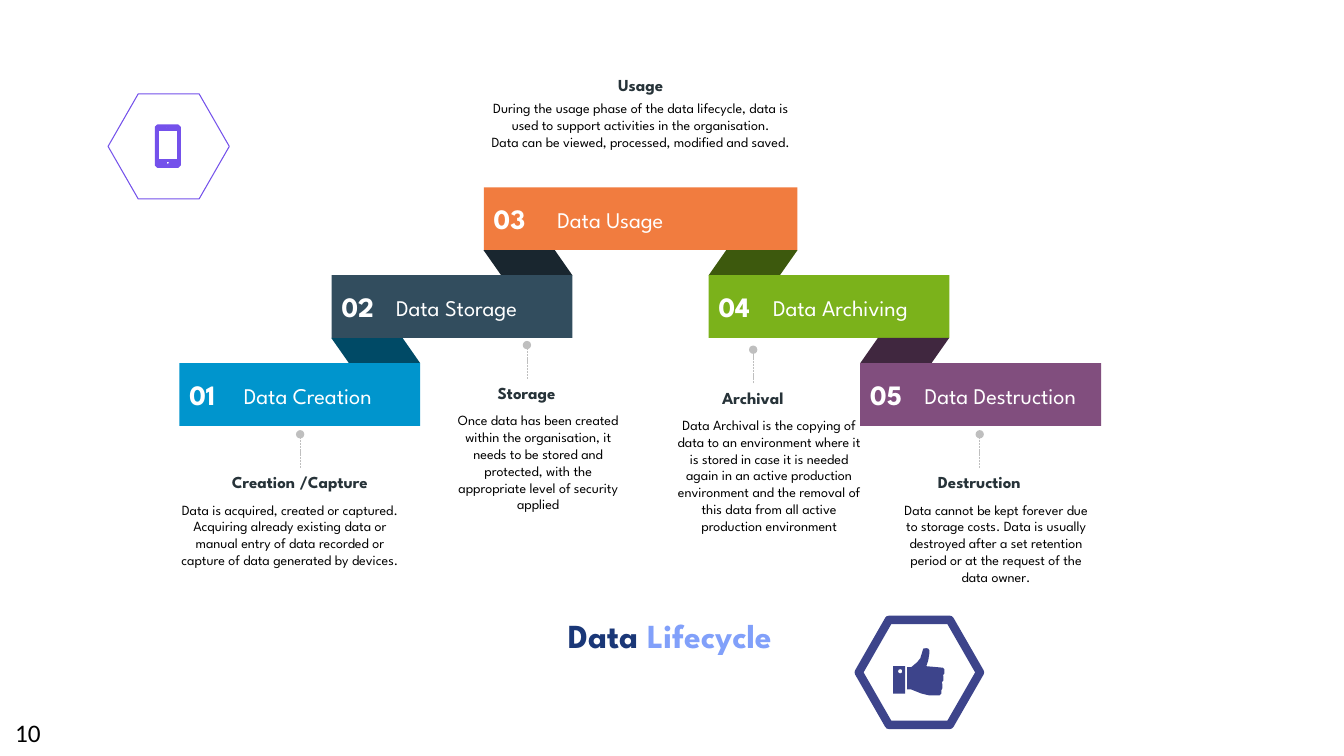
from dataclasses import dataclass
from math import cos, pi, sin

from lxml.etree import SubElement
from pptx import Presentation
from pptx.dml.color import RGBColor
from pptx.enum.dml import MSO_LINE
from pptx.enum.shapes import MSO_CONNECTOR, MSO_SHAPE
from pptx.enum.text import MSO_ANCHOR, MSO_AUTO_SIZE, PP_ALIGN
from pptx.oxml.ns import qn
from pptx.util import Pt

RECTANGLE = MSO_SHAPE.RECTANGLE
HEXAGON = MSO_SHAPE.HEXAGON
PARALLELOGRAM = MSO_SHAPE.PARALLELOGRAM
STRAIGHT = MSO_CONNECTOR.STRAIGHT
SYSTEM_DASH = MSO_LINE.SQUARE_DOT
TOP, MIDDLE, BOTTOM = MSO_ANCHOR.TOP, MSO_ANCHOR.MIDDLE, MSO_ANCHOR.BOTTOM
GROW, FIXED = MSO_AUTO_SIZE.SHAPE_TO_FIT_TEXT, MSO_AUTO_SIZE.NONE
LEFT, CENTER = PP_ALIGN.LEFT, PP_ALIGN.CENTER

BAR_HEIGHT, BAR_WIDTH, WIDE_BAR = 44.8, 172, 224
FOLD_WIDTH, FOLD_HEIGHT = 63.5, 18
STEP = BAR_HEIGHT + FOLD_HEIGHT
PEAK_TOP = 133.8

STAGES = [
    ("Data Creation", 128.2, 2, BAR_WIDTH, "0095CD", "004A66", "left"),
    ("Data Storage", 236.9, 1, BAR_WIDTH, "324D5E", "19262F", "left"),
    ("Data Usage", 345.6, 0, WIDE_BAR, "F17C3F", None, None),
    ("Data Archiving", 506.2, 1, BAR_WIDTH, "7BB21B", "3D590D", "right"),
    ("Data Destruction", 614.5, 2, BAR_WIDTH, "814E7E", "40273F", "right"),
]
NOTES = [
    ("Creation /Capture", 154.4, 334.2, 121, 172,
     "Data is acquired, created or captured. Acquiring already existing data or "
     "manual entry of data recorded or capture of data generated by devices."),
    ("Storage", 316.4, 270.5, 316.4, 136,
     "Once data has been created within the organisation, it needs to be stored "
     "and protected, with the appropriate level of security applied"),
    ("Archival", 478, 273.8, 478, 142.6,
     "Data Archival is the copying of data to an environment where it is stored in "
     "case it is needed again in an active production environment and the removal "
     "of this data from all active production environment"),
    ("Destruction", 639.8, 334.2, 639.8, 143.3,
     "Data cannot be kept forever due to storage costs. Data is usually destroyed "
     "after a set retention period or at the request of the data owner."),
]
USAGE = [
    "During the usage phase of the data lifecycle, data is used to support "
    "activities in the organisation.",
    "Data can be viewed, processed, modified and saved.",
]
HAND = [
    (661.7, 463), (659.5, 463.3), (658.8, 465.8), (657.4, 470.2), (655.2, 473),
    (650.9, 476.6), (648, 476.6), (648, 492.5), (650.9, 492.5), (658.1, 495.4),
    (664, 496.8), (671, 496.8), (672.5, 495.4), (672.5, 493), (673.2, 491.5),
    (673.2, 488.9), (672.8, 487.4), (673.9, 486), (673.9, 483.1), (673.6, 482.4),
    (674.6, 481), (674.6, 478.1), (673.6, 477), (669.6, 476.6), (661.7, 475.9),
    (663.1, 471.6), (663.8, 467.3), (663.8, 464.4), (663.1, 463.3),
]


@dataclass(frozen=True)
class Theme:
    """Colours, fonts and type sizes of the slide."""
    font: str = "League Spartan"
    number_font: str = "Calibri"
    white: str = "FFFFFF"
    black: str = "000000"
    heading: str = "273339"
    pin: str = "BFBFBF"
    phone: str = "7451EB"
    thumb: str = "3D448B"
    title_dark: str = "1A3777"
    title_light: str = "81A0FA"
    body_size: int = 10
    heading_size: int = 12
    label_size: int = 16
    page_size: int = 18
    index_size: int = 20
    title_size: int = 24


def box_outline(left, top, right, bottom, cut=0):
    """Return the corners of a box, cut off when a cut is given."""
    if not cut:
        return [(left, top), (right, top), (right, bottom), (left, bottom)]
    return [(left + cut, top), (right - cut, top), (right, top + cut),
            (right, bottom - cut), (right - cut, bottom), (left + cut, bottom),
            (left, bottom - cut), (left, top + cut)]


def circle_outline(x, y, radius, sides=16):
    """Return the corners of a polygon that reads as a circle."""
    angles = [2 * pi * side / sides for side in range(sides)]
    return [(x + radius * cos(a), y + radius * sin(a)) for a in angles]


class SlideBuilder:
    """Draws styled elements on one slide."""

    def __init__(self, slide, theme):
        """Keep the slide and its theme."""
        self.shapes = slide.shapes
        self.theme = theme

    def paint(self, shape, fill=None, line=None, width=0.75):
        """Set fill and line and remove the shadow."""
        shape.shadow.inherit = False
        if fill:
            shape.fill.solid()
            shape.fill.fore_color.rgb = RGBColor.from_string(fill)
        else:
            shape.fill.background()
        if line:
            shape.line.color.rgb = RGBColor.from_string(line)
            shape.line.width = Pt(width)
        else:
            shape.line.fill.background()

    def preset(self, kind, box, fill=None, line=None, width=0.75, adjust=None, flip=False):
        """Add a preset shape."""
        shape = self.shapes.add_shape(kind, *map(Pt, box))
        self.paint(shape, fill, line, width)
        if adjust is not None:
            shape.adjustments[0] = adjust
        if flip:
            shape._element.spPr.xfrm.set("flipH", "1")
        return shape

    def outline(self, contours, fill, line=None):
        """Add a filled freeform made of closed contours."""
        points = [[(Pt(x), Pt(y)) for x, y in contour] for contour in contours]
        builder = self.shapes.build_freeform(*points[0][0], scale=1.0)
        builder.add_line_segments(points[0][1:], close=True)
        for contour in points[1:]:
            builder.move_to(*contour[0])
            builder.add_line_segments(contour[1:], close=True)
        self.paint(builder.convert_to_shape(), fill, line)

    def fill_text(self, shape, paragraphs, size, bold=False, align=LEFT, anchor=TOP,
                  insets=(7.2, 3.6), font=None, grow=GROW, spacing=None):
        """Fill a shape with paragraphs of (text, colour) runs."""
        frame = shape.text_frame
        frame.word_wrap = True
        frame.auto_size = grow
        frame.vertical_anchor = anchor
        frame.margin_left = frame.margin_right = Pt(insets[0])
        frame.margin_top = frame.margin_bottom = Pt(insets[1])
        for index, runs in enumerate(paragraphs):
            paragraph = frame.add_paragraph() if index else frame.paragraphs[0]
            paragraph.alignment = align
            if spacing:
                paragraph.line_spacing = spacing
            for text, color in runs:
                run = paragraph.add_run()
                run.text = text
                run.font.name = font or self.theme.font
                run.font.size = Pt(size)
                run.font.bold = bold
                run.font.color.rgb = RGBColor.from_string(color)

    def text(self, box, paragraphs, size, **style):
        """Add a text box."""
        self.fill_text(self.shapes.add_textbox(*map(Pt, box)), paragraphs, size, **style)

    def pin(self, x, bottom, top):
        """Add a dashed line with a round end at its top."""
        connector = self.shapes.add_connector(STRAIGHT, Pt(x), Pt(bottom), Pt(x), Pt(top))
        connector.line.color.rgb = RGBColor.from_string(self.theme.pin)
        connector.line.width = Pt(0.5)
        connector.line.dash_style = SYSTEM_DASH
        properties = connector._element.spPr
        SubElement(properties.get_or_add_ln(), qn("a:tailEnd"), type="oval")
        SubElement(properties, qn("a:effectLst"))

    def stage(self, number, name, left, level, width, color, fold, side):
        """Add a numbered bar with its fold."""
        theme = self.theme
        top = PEAK_TOP + level * STEP
        if fold:
            fold_left = left + width - FOLD_WIDTH if side == "left" else left
            self.preset(PARALLELOGRAM, (fold_left, top - FOLD_HEIGHT, FOLD_WIDTH, FOLD_HEIGHT),
                        fold, adjust=0.7, flip=side == "left")
        bar = self.preset(RECTANGLE, (left, top, width, BAR_HEIGHT), color)
        self.fill_text(bar, [[(f"{number:02}", theme.white)]], theme.index_size,
                       bold=True, anchor=MIDDLE, grow=FIXED)
        indent = 38.9 if fold else 45.4
        self.text((left + indent, top + 10, width - indent, 26.6),
                  [[(name, theme.white)]], theme.label_size)

    def note(self, heading, heading_box, body, body_box):
        """Add a centred heading and its body text."""
        theme = self.theme
        style = {"align": CENTER, "insets": (5, 2.9)}
        self.text(heading_box, [[(heading, theme.heading)]], theme.heading_size,
                  bold=True, **style)
        self.text(body_box, [[(line, theme.black)] for line in body], theme.body_size, **style)


def main():
    """Build the data lifecycle slide."""
    presentation = Presentation()
    presentation.slide_width, presentation.slide_height = Pt(960), Pt(540)
    slide = presentation.slides.add_slide(presentation.slide_layouts[6])
    theme = Theme()
    builder = SlideBuilder(slide, theme)
    builder.preset(HEXAGON, (77.2, 67.1, 86.6, 75), line=theme.phone, adjust=0.287)
    builder.preset(HEXAGON, (613.4, 442.8, 86.6, 75), line=theme.thumb, width=6, adjust=0.287)
    builder.outline([box_outline(637.9, 475.9, 646.6, 495.4),
                     circle_outline(643, 479.5, 1.5)], theme.thumb)
    builder.outline([HAND], theme.thumb)
    builder.outline([box_outline(111, 89.3, 128.8, 119.5, cut=1.5),
                     box_outline(113.2, 92.9, 126.6, 113.8),
                     box_outline(118.8, 90.7, 121, 91.4),
                     circle_outline(119.9, 116.3, 1.1)], theme.phone, theme.phone)
    for number, stage in enumerate(STAGES, 1):
        builder.stage(number, *stage)
    for heading, left, top, body_left, body_width, body in NOTES:
        builder.pin(left + 60, top, top - 24)
        builder.note(heading, (left, top, 119.5, 20.2),
                     [body], (body_left, top + 20.8, body_width, 66))
    builder.note("Usage", (345.6, 50.4, WIDE_BAR, 20.2), USAGE, (345.6, 68.4, WIDE_BAR, 66))
    builder.text((331.2, 410.4, 294.5, 67.7),
                 [[("Data ", theme.title_dark), ("Lifecycle", theme.title_light)]],
                 theme.title_size, bold=True, align=CENTER, anchor=BOTTOM,
                 insets=(9.4, 9.4), grow=FIXED, spacing=0.9)
    builder.text((1.4, 502.6, 57.6, 37.4), [[("10", theme.black)]], theme.page_size,
                 insets=(9.4, 9.4), font=theme.number_font, grow=FIXED)
    presentation.save("out.pptx")


if __name__ == "__main__":
    main()
